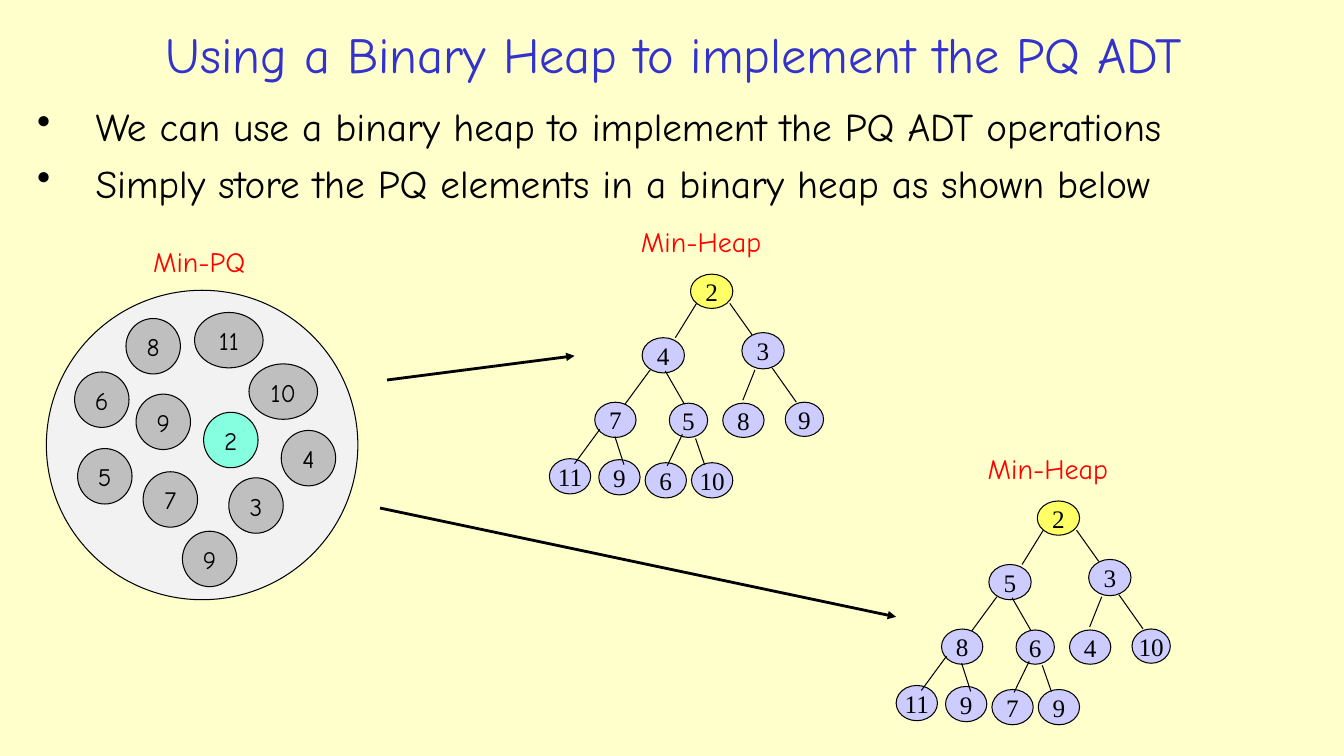
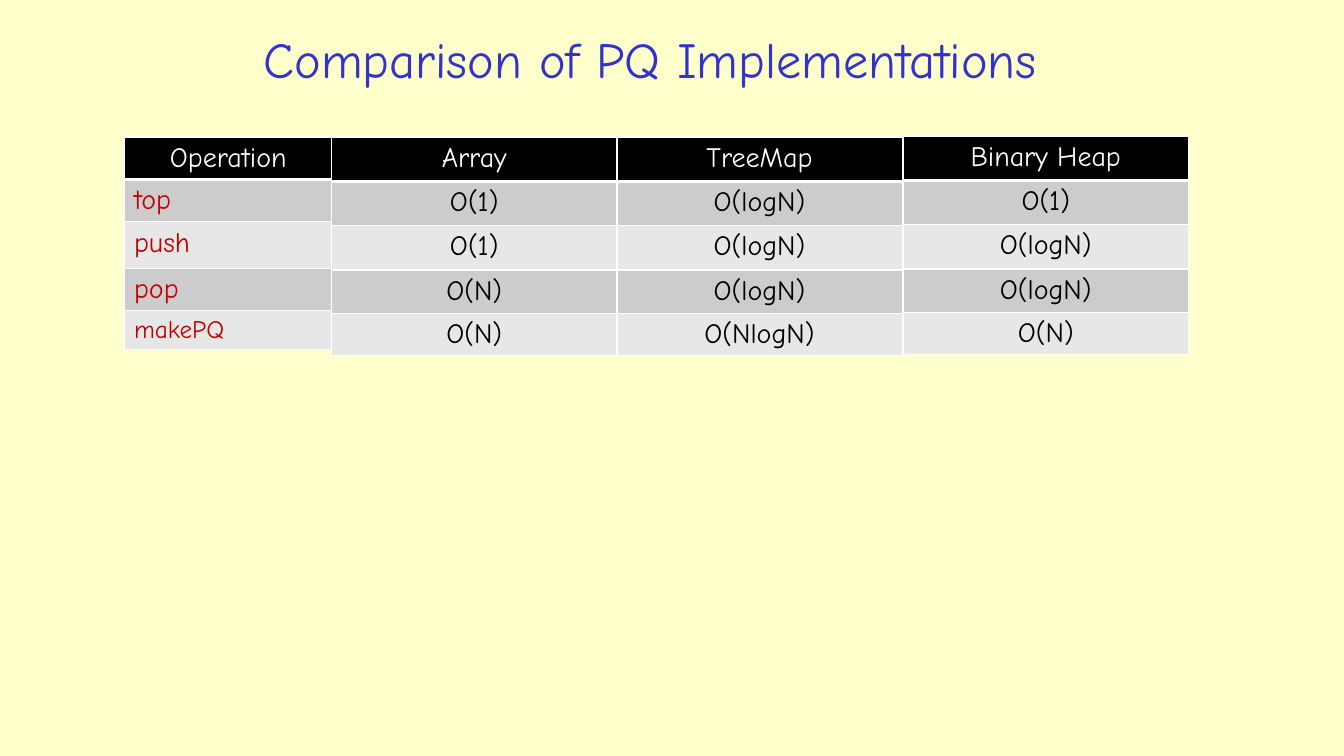
import pptx
import pptx.util
import pptx.dml.color
import pptx.enum.shapes
import pptx.enum.text
import pptx.oxml
import pptx.oxml.ns
from lxml import etree

RGB = pptx.dml.color.RGBColor
Pt = pptx.util.Pt
ALIGN = pptx.enum.text.PP_ALIGN
ANCHOR = pptx.enum.text.MSO_ANCHOR

# Shared colours and fonts
CREAM = RGB(0xFF, 0xFF, 0xCC)
BLUE = RGB(0x33, 0x33, 0xCC)
BLACK = RGB(0, 0, 0)
WHITE = RGB(0xFF, 0xFF, 0xFF)
RED = RGB(0xFF, 0, 0)
BRICK = RGB(0xC0, 0, 0)
YELLOW = RGB(0xFF, 0xFF, 0x66)
LILAC = RGB(0xCC, 0xCC, 0xFF)
MINT = RGB(0x85, 0xFF, 0xE0)
PALE = RGB(0xF2, 0xF2, 0xF2)
GREY = RGB(0xBF, 0xBF, 0xBF)
BANDS = (RGB(0xCC, 0xCC, 0xCC), RGB(0xE7, 0xE7, 0xE7))
HAND = "Comic Neue"
SERIF = "Times New Roman"

# The grid: ten columns or rows to the inch
STEP = pptx.util.Inches(0.1)

# Heap nodes, level by level: left, top, width, height in the tree's box
NODES = [
    (14, 0, 4.2, 3.4),
    (9.2, 6.3, 4.2, 3.5), (19.1, 5.8, 4.2, 3.6),
    (4.5, 12.7, 4.1, 3.5), (11.9, 12.8, 3.8, 3.4),
    (17.2, 12.8, 4.1, 3.4), (23.4, 12.7, 3.8, 3.4),
    (0, 18.3, 4.1, 3.5), (4.9, 18.4, 4.1, 3.5),
    (9.5, 18.7, 4.1, 3.5), (14.1, 18.7, 4.1, 3.5),
]
# Edges from parent to child: x, y, x, y in the tree's box
EDGES = [
    (14.6, 2.9, 12.5, 6.3), (17.9, 2.9, 20.1, 6),
    (10, 9.5, 7.5, 12.9), (11.5, 9.6, 13.4, 12.9),
    (20.4, 9.5, 19.2, 12.5), (22.1, 9.3, 24.5, 12.7),
    (5, 15.4, 2.5, 18.8), (6.5, 16.1, 7.4, 18.9),
    (13.2, 15.9, 11.7, 19), (14.5, 16.3, 15.4, 18.9),
]
# Queue elements: value, left, top in the bag's box
ITEMS = [
    (9, 8.9, 10.3), (8, 7.9, 2.8), (2, 15.6, 12.1), (7, 9.6, 18),
    (5, 3.1, 15.7), (3, 18.1, 18.6), (11, 14.7, 2.2), (9, 13.5, 23.9),
    (4, 23.3, 13.9), (6, 2.8, 8.1), (10, 20.1, 7.3),
]
# Table columns: left, top, width, row heights, texts
TALL = (4.4, 4.4, 4.4, 4.3, 4.2)
COSTS = [
    (12.3, 13.6, 20.7, (4.2, 4.2, 4.6, 4.2, 3.9),
     ("Operation", "top", "push", "pop", "makePQ")),
    (32.9, 13.6, 28.3, TALL, ("Array", "O(1)", "O(1)", "O(N)", "O(N)")),
    (61.2, 13.6, 28.3, TALL,
     ("TreeMap", "O(logN)", "O(logN)", "O(logN)", "O(NlogN)")),
    (89.6, 13.5, 28.3, TALL,
     ("Binary Heap", "O(1)", "O(logN)", "O(logN)", "O(N)")),
]


def grid(*cells):
    return [round(c * STEP) for c in cells]


def write(para, text, size, color, font=HAND, align=None):
    run = para.add_run()
    run.text = text
    run.font.size = Pt(size)
    run.font.name = font
    run.font.color.rgb = color
    if align is not None:
        para.alignment = align


def new_slide(prs, title, box):
    slide = prs.slides.add_slide(prs.slide_layouts[5])
    head = slide.shapes.title
    head.left, head.top, head.width, head.height = grid(*box)
    head.text_frame.vertical_anchor = ANCHOR.MIDDLE
    write(head.text_frame.paragraphs[0], title, 36, BLUE, align=ALIGN.CENTER)
    return slide


def oval(slide, box, fill, text="", font=HAND):
    shape = slide.shapes.add_shape(
        pptx.enum.shapes.MSO_SHAPE.OVAL, *grid(*box))
    shape.shadow.inherit = False
    shape.fill.solid()
    shape.fill.fore_color.rgb = fill
    shape.line.color.rgb = BLACK
    shape.line.width = Pt(0.75)
    if text:
        frame = shape.text_frame
        frame.vertical_anchor = ANCHOR.TOP
        if font == SERIF:
            frame.vertical_anchor = ANCHOR.MIDDLE
            frame.word_wrap = False
        write(frame.paragraphs[0], text, 18, BLACK, font, ALIGN.CENTER)


def line(slide, ends, width=0.75, arrow=False):
    link = slide.shapes.add_connector(
        pptx.enum.shapes.MSO_CONNECTOR.STRAIGHT, *grid(*ends))
    link.line.color.rgb = BLACK
    link.line.width = Pt(width)
    if arrow:
        etree.SubElement(link.line._get_or_add_ln(),
                         pptx.oxml.ns.qn("a:tailEnd"), type="triangle")
    etree.SubElement(link._element.spPr, pptx.oxml.ns.qn("a:effectLst"))


def text_box(slide, box):
    frame = slide.shapes.add_textbox(*grid(*box)).text_frame
    frame.word_wrap = True
    return frame


def label(slide, box, text):
    write(text_box(slide, box).paragraphs[0], text, 20, RED)


def bullets(slide, box, lines):
    frame = text_box(slide, box)
    for i, text in enumerate(lines):
        para = frame.add_paragraph() if i else frame.paragraphs[0]
        para.space_before = Pt(6.5)
        props = para._p.get_or_add_pPr()
        indent = grid(5.8)[0]
        props.set("marL", str(indent))
        props.set("indent", str(-indent))
        etree.SubElement(props, pptx.oxml.ns.qn("a:buChar"), char="•")
        write(para, text, 28, BLACK)


def bag(slide, x, y):
    label(slide, (x + 9.6, y - 5, 14.3, 4.4), "Min-PQ")
    oval(slide, (x, y, 30.9, 30.7), PALE)
    for value, dx, dy in ITEMS:
        width = 6.8 if value > 9 else 5.4
        fill = MINT if value == 2 else GREY
        oval(slide, (x + dx, y + dy, width, 5.5), fill, str(value))


def heap(slide, x, y, values):
    label(slide, (x + 8.1, y - 5.4, 17.2, 4.4), "Min-Heap")
    for i, (value, node) in enumerate(zip(values, NODES)):
        dx, dy, w, h = node
        oval(slide, (x + dx, y + dy, w, h), LILAC if i else YELLOW,
             str(value), SERIF)
    for x1, y1, x2, y2 in EDGES:
        line(slide, (x + x1, y + y1, x + x2, y + y2))


def border(cell, low):
    props = cell._tc.get_or_add_tcPr()
    for side, width in (("L", 1), ("R", 1), ("T", 1), ("B", low)):
        edge = etree.SubElement(props, pptx.oxml.ns.qn("a:ln" + side),
                                w=str(Pt(width)))
        fill = etree.SubElement(edge, pptx.oxml.ns.qn("a:solidFill"))
        etree.SubElement(fill, pptx.oxml.ns.qn("a:srgbClr"), val=str(WHITE))


def cost(slide, left, top, width, rows, texts):
    names = texts[0] == "Operation"
    box = grid(left, top, width, sum(rows))
    table = slide.shapes.add_table(len(rows), 1, *box).table
    table.first_row = table.horz_banding = False
    for i, (high, text) in enumerate(zip(rows, texts)):
        table.rows[i].height = grid(high)[0]
        cell = table.cell(i, 0)
        border(cell, 1 if i else 3)
        cell.fill.solid()
        cell.fill.fore_color.rgb = BANDS[(i - 1) % 2] if i else BLACK
        color = (BRICK if names else BLACK) if i else WHITE
        align = ALIGN.LEFT if names and i else ALIGN.CENTER
        write(cell.text_frame.paragraphs[0], text,
              18 if text == "makePQ" else 20, color, align=align)


def heap_slide(prs):
    slide = new_slide(prs, "Using a Binary Heap to implement the PQ ADT",
                      (4.6, 1.5, 124.5, 7.6))
    bullets(slide, (2.7, 9.7, 126.4, 11), (
        "We can use a binary heap to implement the PQ ADT operations",
        "Simply store the PQ elements in a binary heap as shown below"))
    bag(slide, 4.6, 28.8)
    heap(slide, 54.5, 27.2, (2, 4, 3, 7, 5, 8, 9, 11, 9, 6, 10))
    heap(slide, 88.9, 49.7, (2, 5, 3, 8, 6, 4, 10, 11, 9, 7, 9))
    # Arrows from the queue to each heap
    line(slide, (38.4, 37.7, 57, 35.3), 2, True)
    line(slide, (37.7, 50.4, 88.9, 61.2), 2, True)


def cost_slide(prs):
    slide = new_slide(prs, "Comparison of PQ Implementations",
                      (6.2, 2.7, 116.6, 6.2))
    for column in COSTS:
        cost(slide, *column)


def main():
    prs = pptx.Presentation()
    prs.slide_width, prs.slide_height = grid(133.33, 75)
    back = prs.slide_master.background.fill
    back.solid()
    back.fore_color.rgb = CREAM
    heap_slide(prs)
    cost_slide(prs)
    prs.save("out.pptx")


if __name__ == "__main__":
    main()
